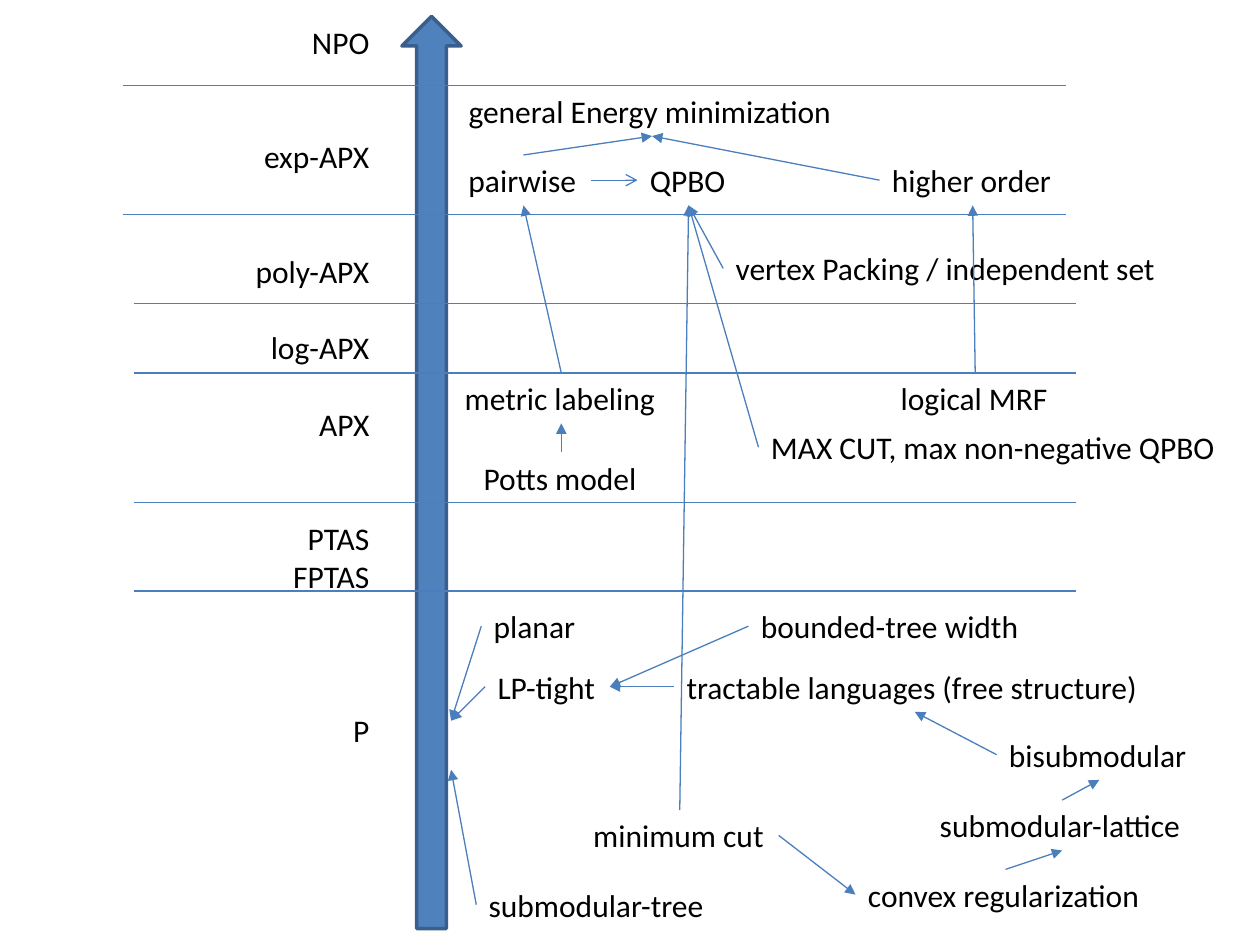
from dataclasses import dataclass

from lxml.etree import SubElement
from pptx import Presentation
from pptx.dml.color import RGBColor
from pptx.enum.shapes import MSO_CONNECTOR, MSO_SHAPE
from pptx.enum.text import MSO_AUTO_SIZE, PP_ALIGN
from pptx.oxml.ns import qn
from pptx.util import Inches, Pt


@dataclass(frozen=True)
class Theme:
    font: str = "Calibri"
    text_size: int = 18
    line_pitch: int = 22
    text: str = "000000"
    fill: str = "4F81BD"
    outline: str = "3A5F8C"
    outline_width: float = 2
    line: str = "4B7EBC"
    line_width: float = 0.75
    label_height: float = 0.4


TOP, LEFT, BOTTOM, RIGHT = range(4)


class DiagramSlide:
    def __init__(self, slide, theme):
        self.slide = slide
        self.theme = theme

    def text_box(self, left, top, width, height, wrap):
        shape = self.slide.shapes.add_textbox(
            Inches(left), Inches(top), Inches(width), Inches(height))
        shape.text_frame.word_wrap = wrap
        shape.text_frame.auto_size = MSO_AUTO_SIZE.SHAPE_TO_FIT_TEXT
        return shape

    def add_text(self, paragraph, text):
        run = paragraph.add_run()
        run.text = text
        values = {"name": self.theme.font, "size": Pt(self.theme.text_size)}
        for name, value in values.items():
            setattr(run.font, name, value)
        run.font.color.rgb = RGBColor.from_string(self.theme.text)

    def label(self, text, left, top, width):
        shape = self.text_box(left, top, width, self.theme.label_height, False)
        self.add_text(shape.text_frame.paragraphs[0], text)
        return shape

    def class_list(self, rows, left, top, width, height):
        """Right-aligned rows, each preceded by a gap counted in lines."""
        frame = self.text_box(left, top, width, height, True).text_frame
        for index, (text, gap) in enumerate(rows):
            paragraph = frame.add_paragraph() if index else frame.paragraphs[0]
            paragraph.alignment = PP_ALIGN.RIGHT
            paragraph.space_before = Pt(gap * self.theme.line_pitch)
            self.add_text(paragraph, text)

    def block_arrow(self, left, top, width, height):
        shape = self.slide.shapes.add_shape(
            MSO_SHAPE.UP_ARROW, Inches(left), Inches(top), Inches(width), Inches(height))
        shape.shadow.inherit = False
        shape.fill.solid()
        shape.fill.fore_color.rgb = RGBColor.from_string(self.theme.fill)
        shape.line.color.rgb = RGBColor.from_string(self.theme.outline)
        shape.line.width = Pt(self.theme.outline_width)

    def line(self, start, end, arrowhead=None):
        connector = self.slide.shapes.add_connector(
            MSO_CONNECTOR.STRAIGHT, *(Inches(value) for value in (*start, *end)))
        connector.line.color.rgb = RGBColor.from_string(self.theme.line)
        connector.line.width = Pt(self.theme.line_width)
        properties = connector.element.find(qn("p:spPr"))
        if arrowhead:
            SubElement(properties.find(qn("a:ln")), qn("a:tailEnd"), type=arrowhead)
        SubElement(properties, qn("a:effectLst"))
        return connector

    def link(self, source, target, arrowhead="triangle"):
        """Arrow from a label side to another label side or a fixed point."""
        fixed = isinstance(target[0], float)
        connector = self.line((0, 0), target if fixed else (1, 1), arrowhead)
        connector.begin_connect(*source)
        if not fixed:
            connector.end_connect(*target)


presentation = Presentation()
presentation.slide_width = Inches(10)
presentation.slide_height = Inches(7.5)
diagram = DiagramSlide(
    presentation.slides.add_slide(presentation.slide_layouts[6]), Theme())

# Complexity classes and the axis
diagram.class_list(
    [("NPO", 0), ("exp-APX", 2), ("poly-APX", 2), ("log-APX", 1), ("APX", 1),
     ("PTAS", 2), ("FPTAS", 0), ("P", 3)],
    1.69, 0.13, 1.34, 5.86)
diagram.block_arrow(3.19, 0.13, 0.47, 7.24)

# Class boundaries
for left, heights in ((0.98, (0.68, 1.7)), (1.06, (2.41, 2.96, 3.99, 4.69))):
    for height in heights:
        diagram.line((left, height), (left + 7.48, height))

# Problem labels: left, top, width
LABELS = {
    "general Energy minimization": (3.62, 0.68, 3.11),
    "pairwise": (3.62, 1.23, 1.07),
    "QPBO": (5.06, 1.23, 0.81),
    "higher order": (6.98, 1.23, 1.48),
    "vertex Packing / independent set": (5.74, 1.93, 3.59),
    "metric labeling": (3.59, 2.96, 1.73),
    "logical MRF": (7.05, 2.96, 1.38),
    "MAX CUT, max non-negative QPBO": (6.02, 3.35, 3.76),
    "Potts model": (3.74, 3.59, 1.43),
    "planar": (3.82, 4.77, 1.1),
    "bounded-tree width": (5.94, 4.77, 2.27),
    "LP-tight": (3.85, 5.25, 0.99),
    "tractable languages (free structure)": (5.35, 5.25, 3.82),
    "bisubmodular": (7.91, 5.79, 1.63),
    "submodular-lattice": (7.36, 6.35, 2.14),
    "minimum cut": (4.61, 6.43, 1.57),
    "convex regularization": (6.79, 6.9, 2.38),
    "submodular-tree": (3.78, 6.98, 1.93),
}
labels = {text: diagram.label(text, *place) for text, place in LABELS.items()}

# Reductions between problems
REDUCTIONS = [
    ("pairwise", TOP, "general Energy minimization", BOTTOM),
    ("higher order", LEFT, "general Energy minimization", BOTTOM),
    ("metric labeling", TOP, "pairwise", BOTTOM),
    ("Potts model", TOP, "metric labeling", BOTTOM),
    ("logical MRF", TOP, "higher order", BOTTOM),
    ("vertex Packing / independent set", LEFT, "QPBO", BOTTOM),
    ("MAX CUT, max non-negative QPBO", LEFT, "QPBO", BOTTOM),
    ("minimum cut", TOP, "QPBO", BOTTOM),
    ("minimum cut", RIGHT, "convex regularization", LEFT),
    ("convex regularization", TOP, "submodular-lattice", BOTTOM),
    ("submodular-lattice", TOP, "bisubmodular", BOTTOM),
    ("bisubmodular", LEFT, "tractable languages (free structure)", BOTTOM),
    ("tractable languages (free structure)", LEFT, "LP-tight", RIGHT),
    ("bounded-tree width", LEFT, "LP-tight", RIGHT),
]
for source, source_side, target, target_side in REDUCTIONS:
    diagram.link((labels[source], source_side), (labels[target], target_side))
diagram.link((labels["pairwise"], RIGHT), (labels["QPBO"], LEFT), "arrow")

# Arrows into the axis
for source, height in (("planar", 5.72), ("LP-tight", 5.72), ("submodular-tree", 6.11)):
    diagram.link((labels[source], LEFT), (3.58, height))

presentation.save("out.pptx")
